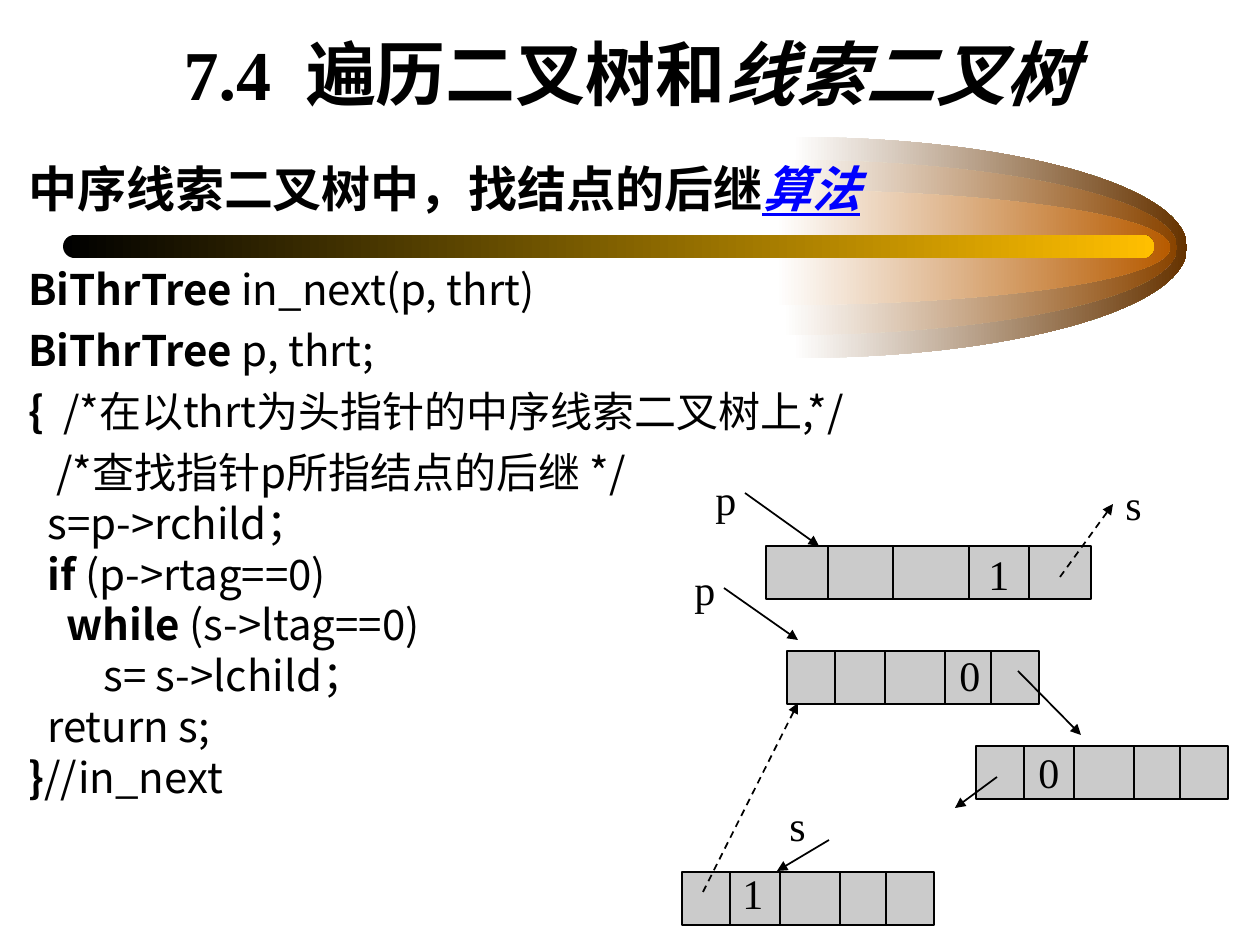
from lxml import etree
from pptx import Presentation
from pptx.dml.color import RGBColor
from pptx.enum.dml import MSO_LINE
from pptx.enum.shapes import MSO_CONNECTOR, MSO_SHAPE
from pptx.enum.text import MSO_ANCHOR, PP_ALIGN
from pptx.oxml.ns import qn
from pptx.util import Pt

PX = 914400 / 126
STRAIGHT = MSO_CONNECTOR.STRAIGHT
RECTANGLE, ROUNDED = MSO_SHAPE.RECTANGLE, MSO_SHAPE.ROUNDED_RECTANGLE
DASH = MSO_LINE.DASH
TOP, BOTTOM = MSO_ANCHOR.TOP, MSO_ANCHOR.BOTTOM
LEFT, CENTER = PP_ALIGN.LEFT, PP_ALIGN.CENTER

BLACK = RGBColor(0, 0, 0)
WHITE = RGBColor(255, 255, 255)
GREY = RGBColor(0xCB, 0xCB, 0xCB)
BLUE = RGBColor(0, 0, 255)
GOLD = RGBColor(0xFF, 0xBF, 0)
DARK_BROWN = RGBColor(0x66, 0x33, 0)
BROWN = RGBColor(0x89, 0x44, 0)
ORANGE = RGBColor(0xB7, 0x5B, 0)
SERIF, SANS = "Times New Roman", "Noto Sans CJK SC"

DIVIDERS = (0.19, 0.39, 0.625, 0.81)  # fractions of a node's width

# Two quarter curves, as fractions of the box: control, control, end
HALF_ELLIPSE = (
    ((0.55, 0), (1, 0.22), (1, 0.5)),
    ((1, 0.78), (0.55, 1), (0, 1)),
)

# Each line: indent in px, space before in pt, line spacing, runs of (text, bold)
CODE = [
    (0, 26.5, 1, [("BiThrTree", True), (" in_next(p, thrt)", False)]),
    (0, 6, 1, [("BiThrTree ", True), ("p, thrt;", False)]),
    (0, 6, 1, [("{", True), ("  /*在以thrt为头指针的中序线索二叉树上,*/", False)]),
    (28, 6, 1, [("/*查找指针p所指结点的后继 */", False)]),
    (19, 6, 0.8, [("s=p->rchild；", False)]),
    (19, 6, 0.8, [("if", True), (" (p->rtag==0)", False)]),
    (38, 6, 0.8, [("while", True), (" (s->ltag==0)", False)]),
    (75, 6, 0.8, [("s= s->lchild；", False)]),
    (19, 6, 0.8, [("return s;", False)]),
    (0, 6, 0.8, [("}", True), ("//in_next", False)]),
]


def emu(*lengths):
    return [round(length * PX) for length in lengths]


def add_run(paragraph, text, size, font, bold=False, italic=False, color=BLACK):
    run = paragraph.add_run()
    run.text = text
    run.font.size, run.font.name = Pt(size), font
    run.font.bold, run.font.italic = bold, italic
    run.font.color.rgb = color
    east_asian = etree.SubElement(run._r.get_or_add_rPr(), qn("a:ea"))
    east_asian.set("typeface", SANS)
    return run


def add_text_frame(slide, box, anchor=TOP):
    frame = slide.shapes.add_textbox(*emu(*box)).text_frame
    frame.word_wrap = True
    frame.vertical_anchor = anchor
    return frame


def fill_gradient(shape, start, end):
    shape.shadow.inherit = False
    shape.line.fill.background()
    shape.fill.gradient()
    shape.fill.gradient_angle = 0
    for stop, color in zip(shape.fill.gradient_stops, (start, end)):
        stop.color.rgb = color


def add_line(slide, start, end, dashed=False, arrow=False):
    connector = slide.shapes.add_connector(STRAIGHT, *emu(*start, *end))
    connector.line.color.rgb = BLACK
    connector.line.width = Pt(1)
    if dashed:
        connector.line.dash_style = DASH
    if arrow:
        tail = etree.SubElement(connector.line._get_or_add_ln(), qn("a:tailEnd"))
        tail.set("type", "triangle")
    etree.SubElement(connector._element.spPr, qn("a:effectLst"))


def add_half_ellipse(slide, box, color):
    """Right half of an ellipse, fading in from white."""
    left, top, width, height = emu(*box)
    builder = slide.shapes.build_freeform(left, top)
    corners = [(left + width, top + height // 2), (left, top + height)]
    builder.add_line_segments(corners, close=True)
    shape = builder.convert_to_shape()
    segments = list(shape._element.iter(qn("a:lnTo")))
    for segment, curve in zip(segments, HALF_ELLIPSE):
        bezier = etree.Element(qn("a:cubicBezTo"))
        for x, y in curve:
            point = etree.SubElement(bezier, qn("a:pt"))
            point.set("x", str(round(x * width)))
            point.set("y", str(round(y * height)))
        segment.getparent().replace(segment, bezier)
    fill_gradient(shape, WHITE, color)


def add_comet(slide, box):
    left, top, width, height = box
    for x, y, color in ((730, 0, DARK_BROWN), (720, 23, BROWN), (713, 53, ORANGE)):
        add_half_ellipse(slide, (left + x, top + y, 394, height - 2 * y), color)
    bar = slide.shapes.add_shape(ROUNDED, *emu(left, top + 98, width - 33, 23))
    bar.adjustments[0] = 0.5
    fill_gradient(bar, BLACK, GOLD)


def add_title(slide, box):
    paragraph = add_text_frame(slide, box, BOTTOM).paragraphs[0]
    paragraph.alignment = CENTER
    add_run(paragraph, "7.4  遍历二叉树和", 40, SERIF, bold=True)
    add_run(paragraph, "线索二叉树", 40, SERIF, bold=True, italic=True)


def add_algorithm(slide, box):
    frame = add_text_frame(slide, box)
    heading = frame.paragraphs[0]
    add_run(heading, "中序线索二叉树中，找结点的后继", 28, SANS, bold=True)
    link = add_run(heading, "算法", 28, SANS, bold=True, italic=True, color=BLUE)
    link.font.underline = True
    for indent, before, spacing, runs in CODE:
        paragraph = frame.add_paragraph()
        paragraph.alignment = LEFT
        paragraph.space_before = Pt(before)
        paragraph.line_spacing = spacing
        paragraph._p.get_or_add_pPr().set("marL", str(*emu(indent)))
        for text, bold in runs:
            add_run(paragraph, text, 24, SANS, bold)


def add_label(slide, left, top, width, text):
    frame = add_text_frame(slide, (left, top, width, 63))
    add_run(frame.paragraphs[0], text, 24, SERIF)


def add_node(slide, left, top, width):
    """Tree node record: five cells side by side."""
    height = 53
    node = slide.shapes.add_shape(RECTANGLE, *emu(left, top, width, height))
    node.shadow.inherit = False
    node.fill.solid()
    node.fill.fore_color.rgb = GREY
    node.line.color.rgb = BLACK
    node.line.width = Pt(1)
    for fraction in DIVIDERS:
        x = left + round(width * fraction)
        add_line(slide, (x, top), (x, top + height))


def add_diagram(slide, box):
    left, top = box[:2]
    for x, y, width in ((84, 79, 325), (105, 184, 252), (294, 279, 252), (0, 405, 252)):
        add_node(slide, left + x, top + y, width)
    for x1, y1, x2, y2, dashed in (
        (63, 26, 137, 79, False),
        (378, 110, 431, 37, True),
        (42, 121, 116, 173, False),
        (336, 204, 399, 268, False),
        (315, 310, 273, 341, False),
        (147, 373, 95, 404, False),
        (21, 425, 116, 236, True),
    ):
        add_line(slide, (left + x1, top + y1), (left + x2, top + y2), dashed, arrow=True)
    for x, y, width, text in (
        (21, 0, 53, "p"), (294, 75, 42, "1"), (431, 5, 32, "s"), (0, 90, 53, "p"),
        (265, 176, 42, "0"), (48, 394, 42, "1"), (344, 273, 42, "0"), (95, 326, 32, "s"),
    ):
        add_label(slide, left + x, top + y, width, text)


def main():
    presentation = Presentation()
    presentation.slide_width, presentation.slide_height = emu(1260, 945)
    slide = presentation.slides.add_slide(presentation.slide_layouts[6])
    add_comet(slide, (63, 137, 1124, 221))
    add_title(slide, (94, 26, 1071, 95))
    add_algorithm(slide, (16, 152, 1081, 741))
    add_diagram(slide, (682, 467, 546, 457))
    presentation.save("out.pptx")


if __name__ == "__main__":
    main()
